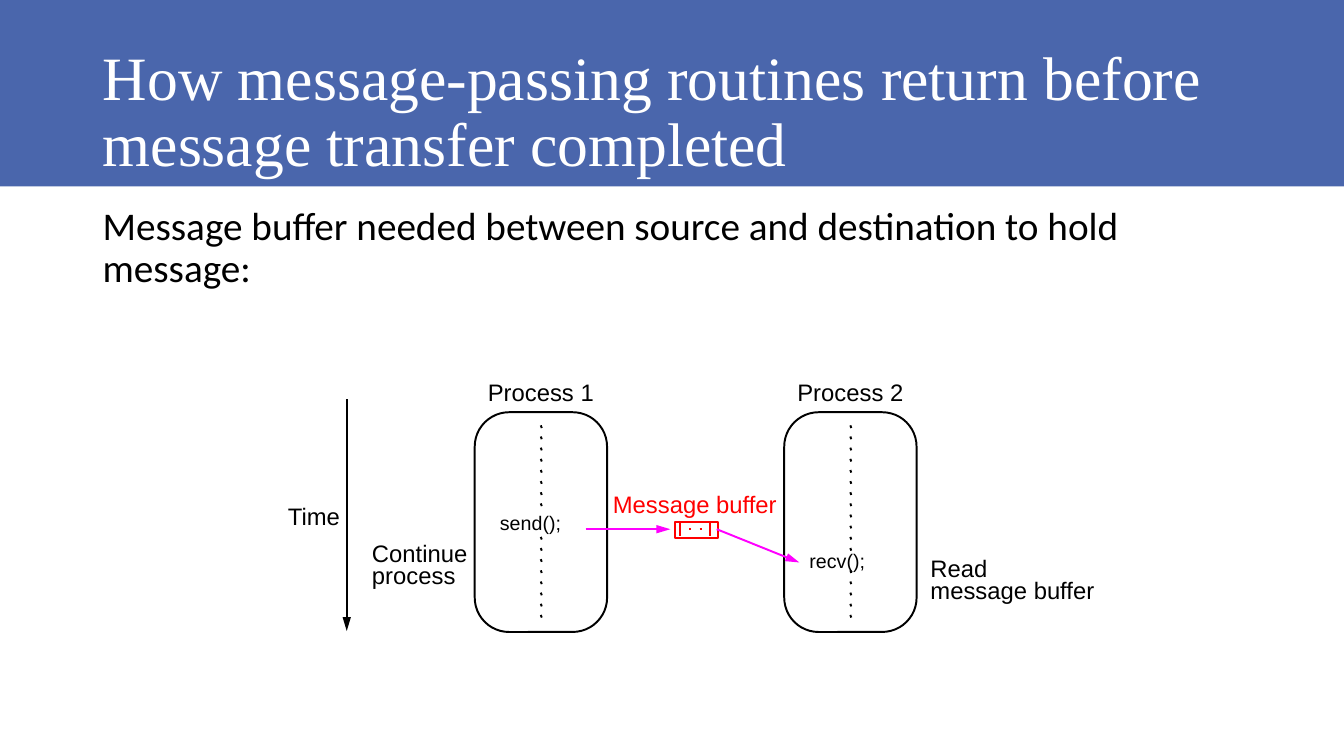
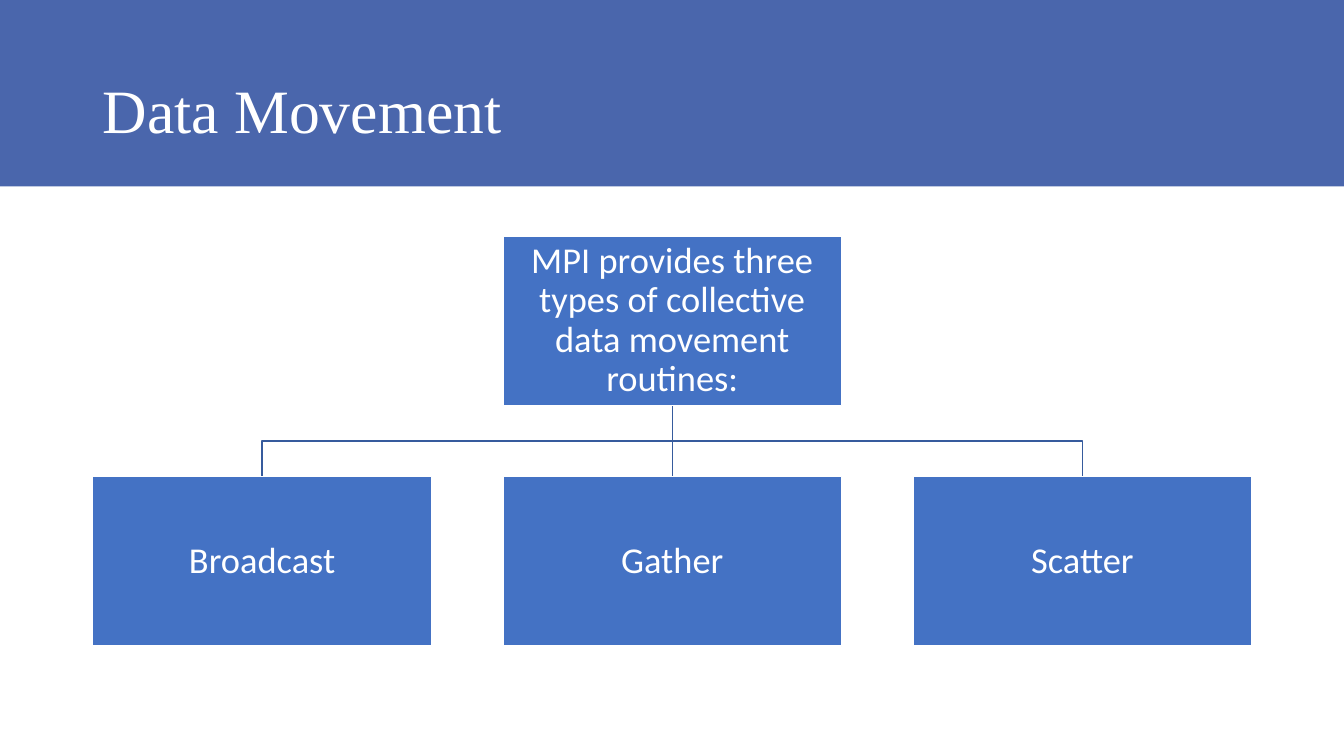
from dataclasses import dataclass

from lxml.etree import SubElement
from pptx import Presentation
from pptx.dml.color import RGBColor as Rgb
from pptx.enum.shapes import MSO_CONNECTOR as Link, MSO_SHAPE as Kind
from pptx.enum.text import MSO_ANCHOR as Anchor, MSO_AUTO_SIZE as Fit, PP_ALIGN as Align
from pptx.oxml.ns import qn
from pptx.util import Inches, Pt


@dataclass(frozen=True)
class Theme:
    band: Rgb = Rgb.from_string("4A66AC")
    node: Rgb = Rgb.from_string("4472C4")
    branch: Rgb = Rgb.from_string("365B9D")
    white: Rgb = Rgb.from_string("FFFFFF")
    black: Rgb = Rgb.from_string("000000")
    red: Rgb = Rgb.from_string("FF0000")
    pink: Rgb = Rgb.from_string("FF00FF")
    serif: str = "Times New Roman"
    sans: str = "Calibri"
    plain: str = "Arial"
    title: int = 44
    body: int = 28
    tree: int = 26
    label: int = 17
    code: int = 14
    pen: float = 1.38
    thin: float = 1


T = Theme()
WIDE, HIGH = Inches(13.33), Inches(7.5)
LEFT, SPAN = 6.9, 86.25
NO_PAD = dict.fromkeys(("margin_left", "margin_top", "margin_right", "margin_bottom"), 0)


def col(share):
    return round(WIDE * share / 100)


def row(share):
    return round(HIGH * share / 100)


def area(x, y, wide, high):
    return col(x), row(y), col(wide), row(high)


def dress(item, **format):
    for name, value in format.items():
        setattr(item, name, value)


def write(shape, text, size, face, tint, para=None, **frame):
    body = shape.text_frame
    body.text = text
    dress(body, **{"word_wrap": True, "auto_size": Fit.NONE, **frame})
    for part in body.paragraphs:
        dress(part, **{"alignment": Align.LEFT, **(para or {})})
        dress(part.font, size=Pt(size), name=face)
        part.font.color.rgb = tint


def stroke(shape, tint, width):
    shape.line.color.rgb = tint
    shape.line.width = Pt(width)


def block(slide, kind, place, fill=None, edge=None, width=T.pen):
    shape = slide.shapes.add_shape(kind, *area(*place))
    shape.shadow.inherit = False
    if fill is None:
        shape.fill.background()
    else:
        shape.fill.solid()
        shape.fill.fore_color.rgb = fill
    if edge is None:
        shape.line.fill.background()
    else:
        stroke(shape, edge, width)
    return shape


def line(slide, start, end, tint=T.black, width=T.pen, arrow=False):
    link = slide.shapes.add_connector(
        Link.STRAIGHT, col(start[0]), row(start[1]), col(end[0]), row(end[1]))
    stroke(link, tint, width)
    props = link.element.spPr
    if arrow:
        SubElement(props.find(qn("a:ln")), qn("a:tailEnd"), type="triangle", w="med", len="lg")
    SubElement(props, qn("a:effectLst"))


def elbow(slide, start, end):
    (x, top), (side, base) = start, end
    bend = (top + base) / 2
    path = slide.shapes.build_freeform(col(x), row(top))
    path.add_line_segments(
        [(col(x), row(bend)), (col(side), row(bend)), (col(side), row(base))], close=False)
    shape = path.convert_to_shape()
    shape.shadow.inherit = False
    shape.fill.background()
    stroke(shape, T.branch, T.thin)


def label(slide, text, x, y, size=T.label, tint=T.black):
    box = slide.shapes.add_textbox(*area(x, y, 14, 4 * len(text.split("\n"))))
    para = {"line_spacing": Pt(15.5)} if "\n" in text else None
    write(box, text, size, T.plain, tint, para, **NO_PAD)


def start(deck, layout, text):
    slide = deck.slides.add_slide(layout)
    title = slide.shapes.title
    dress(title, **dict(zip(("left", "top", "width", "height"), area(LEFT, 5.33, SPAN, 19.33))))
    write(title, text, T.title, T.serif, T.white, {"line_spacing": 0.9},
          vertical_anchor=Anchor.MIDDLE)
    return slide


def process(slide, number, call, level, gaps):
    x = 35.32 + 23.03 * (number - 1)
    middle = x + 4.92
    frame = block(slide, Kind.ROUNDED_RECTANGLE, (x, 54.53, 9.85, 29.07), edge=T.black)
    frame.adjustments[0] = 0.26
    for tick in range(18):
        if tick not in gaps:
            y = 56.27 + 1.475 * tick
            line(slide, (middle, y), (middle + 0.07, y + 0.35))
    label(slide, f"Process {number}", x + 0.98, 50)
    label(slide, call, x + 1.88, level, T.code)


def store(slide):
    label(slide, "Message buffer", 45.6, 64.8, tint=T.red)
    block(slide, Kind.RECTANGLE, (50.2, 69.07, 3.22, 2.13), edge=T.red)
    for x in (50.59, 52.8):
        line(slide, (x, 68.93), (x, 70.93), T.red)
    for step in range(3):
        x = 50.55 + 0.75 * step
        line(slide, (x, 70), (x + 0.15, 70), T.red)


def passing(deck, layout):
    slide = start(deck, layout,
                  "How message-passing routines return before message transfer completed")
    lead = slide.shapes.add_textbox(*area(LEFT, 26.67, SPAN, 23.33))
    write(lead, "Message buffer needed between source and destination to hold message:",
          T.body, T.sans, T.black, {"line_spacing": 0.9})
    process(slide, 1, "send();", 67.63, (8, 9))
    process(slide, 2, "recv();", 72.57, (12,))
    store(slide)
    for tail, tip, tint in (
        ((25.8, 52.8), (25.8, 83.47), T.black),
        ((43.58, 70), (49.88, 70), T.pink),
        ((53.33, 70), (59.48, 74.4), T.pink),
    ):
        line(slide, tail, tip, tint, arrow=True)
    for text, x, y in (
        ("Time", 21.42, 66.35),
        ("Continue\nprocess", 27.68, 72.15),
        ("Read\nmessage buffer", 69.23, 74.2),
    ):
        label(slide, text, x, y)


def movement(deck, layout):
    slide = start(deck, layout, "Data Movement")
    wide, high, root, leaf = 25.22, 22.42, 31.2, 63.04
    step = (SPAN - wide) / 2
    spots = [LEFT + step * rank for rank in range(3)]
    first, middle, last = (x + wide / 2 for x in spots)
    base = root + high
    elbow(slide, (middle, base), (last, leaf))
    line(slide, (middle, base), (middle, leaf), T.branch, T.thin)
    elbow(slide, (middle, base), (first, leaf))
    nodes = [("MPI provides three types of collective data movement routines:", spots[1], root)]
    nodes += [(text, x, leaf) for text, x in zip(("Broadcast", "Gather", "Scatter"), spots)]
    for text, x, y in nodes:
        node = block(slide, Kind.RECTANGLE, (x, y, wide, high), T.node, T.white, T.thin)
        write(node, text, T.tree, T.sans, T.white,
              {"alignment": Align.CENTER, "line_spacing": 0.9},
              vertical_anchor=Anchor.MIDDLE, **dict.fromkeys(NO_PAD, Inches(0.02)))


def main():
    deck = Presentation()
    dress(deck, slide_width=WIDE, slide_height=HIGH)
    layout = deck.slide_layouts.get_by_name("Title Only")
    passing(deck, layout)
    movement(deck, layout)
    band = block(deck.slides[0], Kind.RECTANGLE, (0, 0, 100, 24.67), T.band)
    layout.shapes.element.insert(2, band.element)
    deck.save("out.pptx")


if __name__ == "__main__":
    main()
